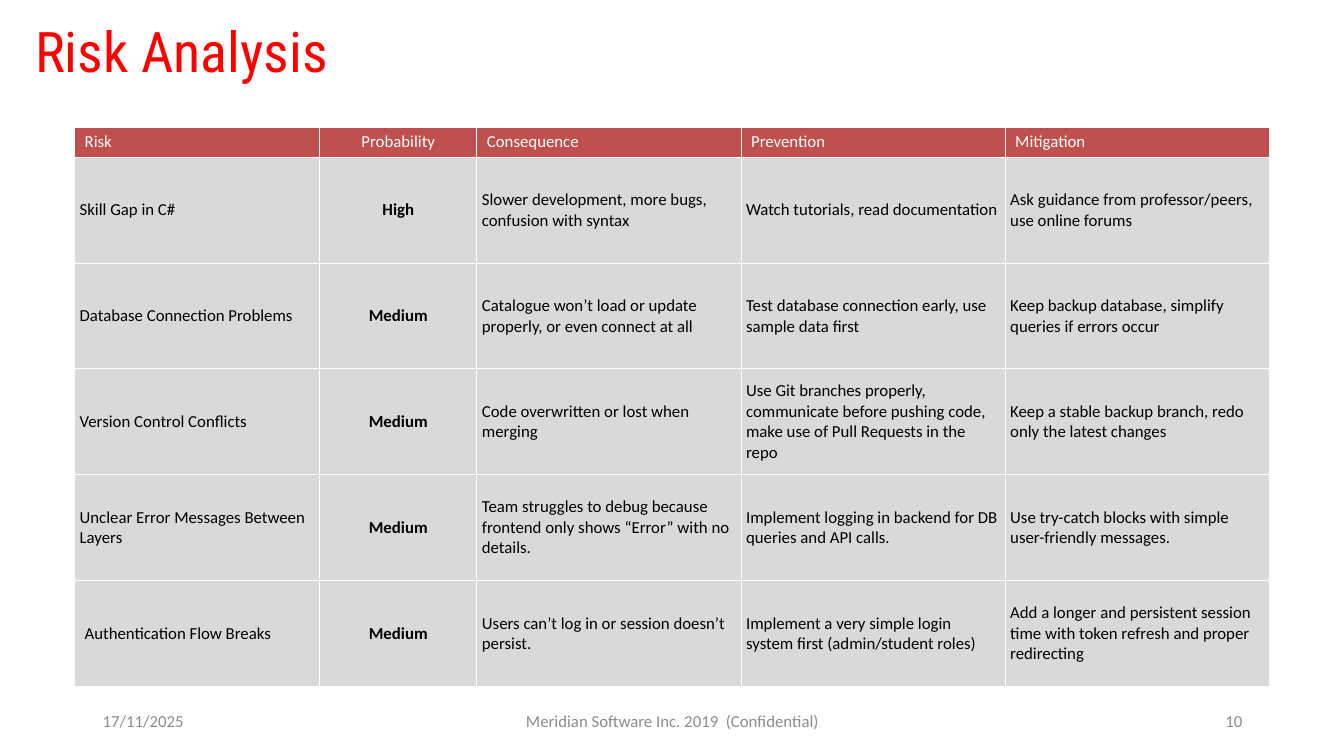
from dataclasses import dataclass

from lxml import etree
from pptx import Presentation
from pptx import util as u
from pptx.dml.color import RGBColor
from pptx.enum import text
from pptx.oxml import ns


@dataclass(frozen=True)
class Theme:
    title_font: str = "Roboto Condensed"
    body_font: str = "Calibri"
    title_size: int = 40
    body_size: int = 12
    red: str = "FF0000"
    header: str = "C0504D"
    row: str = "D9D9D9"
    white: str = "FFFFFF"
    black: str = "000000"
    grey: str = "8C8C8C"
    border_width: float = 0.75


THEME = Theme()
LEFT, CENTER, RIGHT = (text.PP_ALIGN.LEFT, text.PP_ALIGN.CENTER,
                       text.PP_ALIGN.RIGHT)

# Table content
HEADINGS = ["Risk", "Probability", "Consequence", "Prevention", "Mitigation"]
RISKS = [
    ["Skill Gap in C#", "High",
     "Slower development, more bugs, confusion with syntax",
     "Watch tutorials, read documentation",
     "Ask guidance from professor/peers, use online forums"],
    ["Database Connection Problems", "Medium",
     "Catalogue won’t load or update properly, or even connect at all",
     "Test database connection early, use sample data first",
     "Keep backup database, simplify queries if errors occur"],
    ["Version Control Conflicts", "Medium",
     "Code overwritten or lost when merging",
     "Use Git branches properly, communicate before pushing code, "
     "make use of Pull Requests in the repo",
     "Keep a stable backup branch, redo only the latest changes"],
    ["Unclear Error Messages Between Layers", "Medium",
     "Team struggles to debug because frontend only shows “Error” "
     "with no details.",
     "Implement logging in backend for DB queries and API calls.",
     "Use try-catch blocks with simple user-friendly messages."],
    ["Authentication Flow Breaks", "Medium",
     "Users can’t log in or session doesn’t persist.",
     "Implement a very simple login system first (admin/student roles)",
     "Add a longer and persistent session time with token refresh and "
     "proper redirecting"],
]
COLUMN_WIDTHS = [2.43, 1.56, 2.62, 2.62, 2.62]
HEADER_HEIGHT, ROW_HEIGHT = 0.24, 1.05

# Footer: text, left, width, alignment
FOOTERS = [
    ("17/11/2025", 0.92, 3, LEFT),
    ("Meridian Software Inc. 2019  (Confidential)", 4.42, 4.5, CENTER),
    ("10", 9.42, 3, RIGHT),
]


def set_attrs(obj, values):
    for name, value in values.items():
        setattr(obj, name, value)


def margins(inset):
    return {f"margin_{side}": u.Inches(inset)
            for side in ("left", "top", "right", "bottom")}


def write(tf, content, color, align=LEFT, font=THEME.body_font,
          size=THEME.body_size, bold=False):
    p = tf.paragraphs[0]
    p.alignment = align
    r = p.add_run()
    r.text = content
    set_attrs(r.font, {"name": font, "size": u.Pt(size), "bold": bold})
    r.font.color.rgb = RGBColor.from_string(color)


def add_title(s, content):
    sp = s.shapes.title
    set_attrs(sp, {"left": u.Inches(0.29), "top": u.Inches(0),
                   "width": u.Inches(7.05), "height": u.Inches(0.99)})
    set_attrs(sp.text_frame, {
        **margins(0.06), "word_wrap": True,
        "auto_size": text.MSO_AUTO_SIZE.NONE,
        "vertical_anchor": text.MSO_ANCHOR.MIDDLE})
    write(sp.text_frame, content, THEME.red, font=THEME.title_font,
          size=THEME.title_size)


def add_footer(s, content, left, width, align):
    sp = s.shapes.add_textbox(u.Inches(left), u.Inches(6.95),
                              u.Inches(width), u.Inches(0.4))
    set_attrs(sp.text_frame, {
        "word_wrap": True, "vertical_anchor": text.MSO_ANCHOR.MIDDLE})
    write(sp.text_frame, content, THEME.grey, align)


def add_borders(cell):
    tc_pr = cell._tc.get_or_add_tcPr()
    for side in ("a:lnL", "a:lnR", "a:lnT", "a:lnB"):
        ln = etree.SubElement(tc_pr, ns.qn(side),
                              w=str(u.Pt(THEME.border_width)))
        fill = etree.SubElement(ln, ns.qn("a:solidFill"))
        etree.SubElement(fill, ns.qn("a:srgbClr"), val=THEME.white)


def format_cell(cell, content, row, col):
    is_header = row == 0
    is_probability = col == 1
    cell.vertical_anchor = text.MSO_ANCHOR.MIDDLE
    # The header and the last risk name keep the default cell margins
    if not is_header and (row, col) != (len(RISKS), 0):
        set_attrs(cell, margins(0.05))
    add_borders(cell)
    cell.fill.solid()
    cell.fill.fore_color.rgb = RGBColor.from_string(
        THEME.header if is_header else THEME.row)
    write(cell.text_frame, content,
          THEME.white if is_header else THEME.black,
          CENTER if is_probability else LEFT,
          bold=is_probability and not is_header)


def add_risk_table(s):
    rows = [HEADINGS] + RISKS
    heights = [HEADER_HEIGHT] + [ROW_HEIGHT] * len(RISKS)
    table = s.shapes.add_table(
        len(rows), len(HEADINGS), u.Inches(0.74), u.Inches(1.26),
        u.Inches(sum(COLUMN_WIDTHS)), u.Inches(sum(heights))).table
    table.horz_banding = False
    for column, width in zip(table.columns, COLUMN_WIDTHS):
        column.width = u.Inches(width)
    for table_row, height in zip(table.rows, heights):
        table_row.height = u.Inches(height)
    for i, values in enumerate(rows):
        for j, content in enumerate(values):
            format_cell(table.cell(i, j), content, i, j)


def main():
    prs = Presentation()
    set_attrs(prs, {"slide_width": u.Inches(13.33),
                    "slide_height": u.Inches(7.5)})
    s = prs.slides.add_slide(prs.slide_layouts[5])
    add_title(s, "Risk Analysis")
    for footer in FOOTERS:
        add_footer(s, *footer)
    add_risk_table(s)
    prs.save("out.pptx")


if __name__ == "__main__":
    main()
